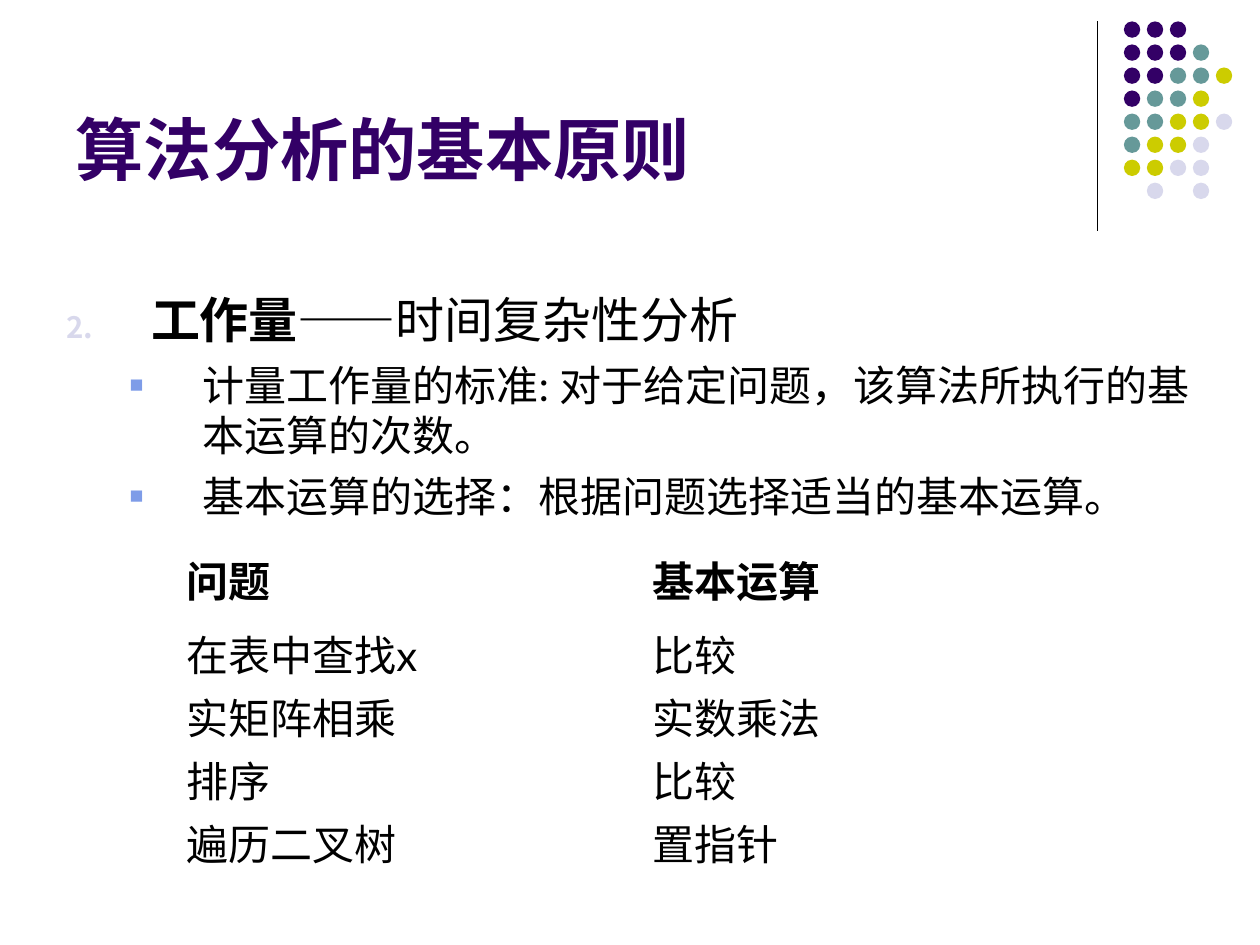
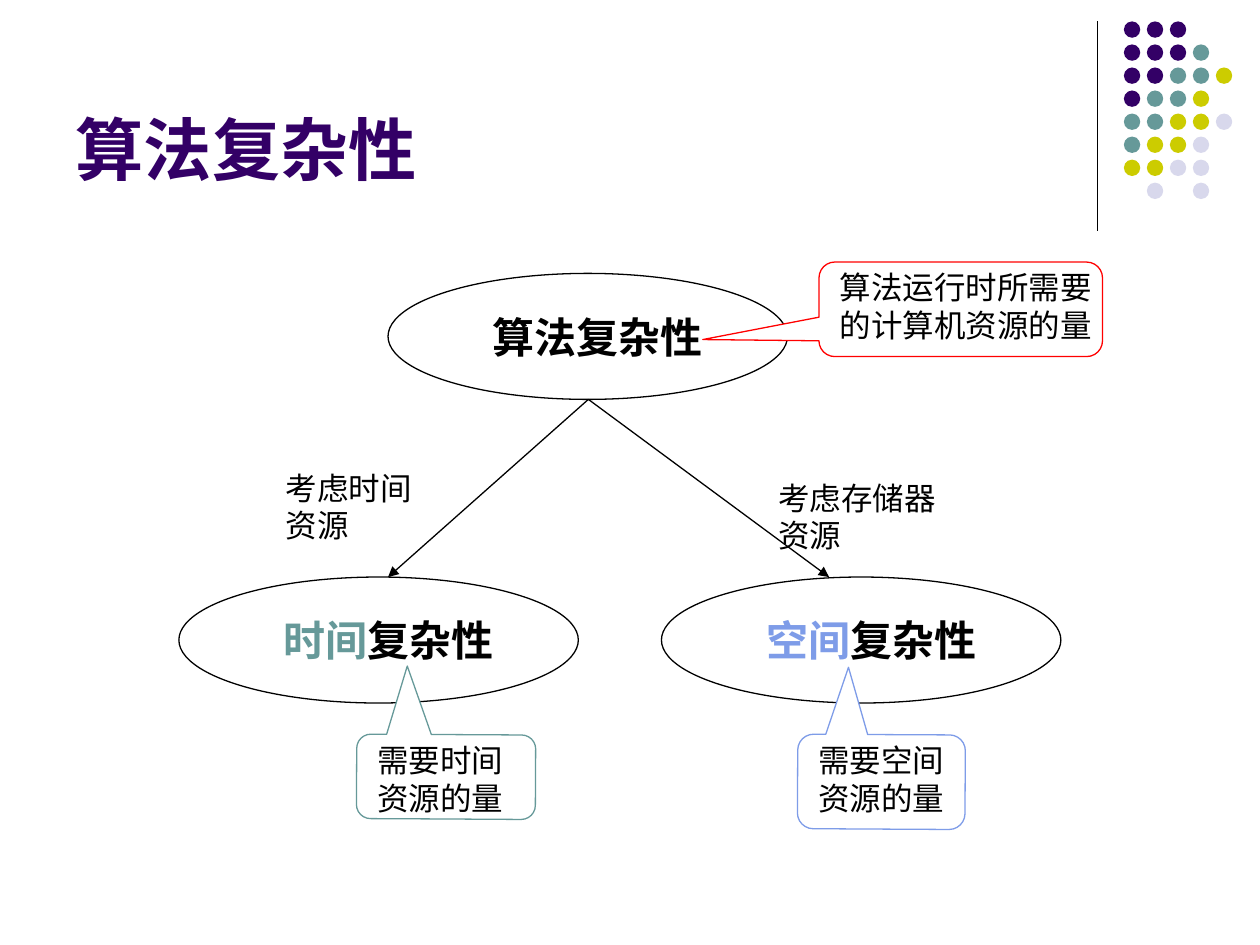
from lxml import etree
from pptx import Presentation
from pptx.dml.color import RGBColor
from pptx.enum.shapes import MSO_CONNECTOR, MSO_SHAPE
from pptx.enum.text import MSO_ANCHOR, PP_ALIGN
from pptx.oxml.ns import qn
from pptx.util import Inches, Pt

OVAL = MSO_SHAPE.OVAL
BUBBLE = MSO_SHAPE.ROUNDED_RECTANGULAR_CALLOUT
STRAIGHT = MSO_CONNECTOR.STRAIGHT
LEFT, CENTER = PP_ALIGN.LEFT, PP_ALIGN.CENTER
BOTTOM, MIDDLE = MSO_ANCHOR.BOTTOM, MSO_ANCHOR.MIDDLE

BLACK = RGBColor(0x00, 0x00, 0x00)
WHITE = RGBColor(0xFF, 0xFF, 0xFF)
RED = RGBColor(0xFF, 0x00, 0x00)
PURPLE = RGBColor(0x33, 0x00, 0x66)
TEAL = RGBColor(0x66, 0x99, 0x99)
LIME = RGBColor(0xCC, 0xCC, 0x00)
PALE = RGBColor(0xD8, 0xD8, 0xEC)
BLUE = RGBColor(0x7E, 0x9C, 0xE8)

HUES = {"P": PURPLE, "T": TEAL, "L": LIME, "G": PALE}
DOTS = ["PPP", "PPPT", "PPTTL", "PTTL", "TTLLG", "TLLG", "LLGG", " G G"]


def form(slide, kind, box, fill, line):
    shape = slide.shapes.add_shape(kind, *map(Inches, box))
    shape.shadow.inherit = False
    if fill is None:
        shape.fill.background()
    else:
        shape.fill.solid()
        shape.fill.fore_color.rgb = fill
    if line is None:
        shape.line.fill.background()
    else:
        shape.line.color.rgb = line
        shape.line.width = Pt(0.75)
    return shape


def put(para, parts, size, align=LEFT):
    para.alignment = align
    for text, face, color, bold in parts:
        run = para.add_run()
        run.text = text
        run.font.name = face
        run.font.size = Pt(size)
        run.font.bold = bold
        run.font.color.rgb = color


prs = Presentation()
prs.slide_width = Inches(10)
prs.slide_height = Inches(7.5)

slides = []
rods = []
for name in ["算法分析的基本原则", "算法复杂性"]:
    slide = prs.slides.add_slide(prs.slide_layouts[5])
    slides.append(slide)
    title = slide.shapes.title
    title.left, title.top = Inches(0.5), Inches(0.13)
    title.width, title.height = Inches(8.25), Inches(1.42)
    title.text_frame.vertical_anchor = BOTTOM
    put(title.text_frame.paragraphs[0], [(name, "Arial", PURPLE, True)], 39)
    rods.append((slide, (8.71, 0.17, 8.71, 1.83), False))
    for row, codes in enumerate(DOTS):
        for col, code in enumerate(codes):
            if code in HUES:
                box = (8.92 + col * 0.73 / 4, 0.17 + row * 1.28 / 7, 0.13, 0.13)
                form(slide, OVAL, box, HUES[code], None)

rules, tree = slides

body = rules.shapes.add_textbox(Inches(0.43), Inches(2.25), Inches(9.25), Inches(2.05))
frame = body.text_frame
frame.word_wrap = True
head = [
    ("工作量", "Lato", BLACK, True),
    ("——", "Arial", BLACK, False),
    ("时间复杂性分析", "Lato", BLACK, False),
]
points = [
    "计量工作量的标准: 对于给定问题，该算法所执行的基本运算的次数。",
    "基本运算的选择：根据问题选择适当的基本运算。",
]
items = [(0, head, 28)] + [(1, [(text, "Lato", BLACK, False)], 24) for text in points]
for spot, (level, parts, size) in enumerate(items):
    para = frame.add_paragraph() if spot else frame.paragraphs[0]
    para.level = level
    props = para._p.get_or_add_pPr()
    margin, indent = [(0.67, -0.67), (1.08, -0.58)][level]
    props.set("marL", str(Inches(margin)))
    props.set("indent", str(Inches(indent)))
    tint = etree.SubElement(props, qn("a:buClr"))
    etree.SubElement(tint, qn("a:srgbClr"), val=str(BLUE if level else PALE))
    etree.SubElement(props, qn("a:buSzPct"), val="55000" if level else "60000")
    etree.SubElement(props, qn("a:buFont"), typeface="Arial")
    if level:
        etree.SubElement(props, qn("a:buChar"), char="■")
    else:
        etree.SubElement(props, qn("a:buAutoNum"), type="arabicPeriod", startAt="2")
    if spot:
        para.space_before = Pt(6)
    put(para, parts, size)

pairs = [
    ("问题", "基本运算"),
    ("在表中查找x", "比较"),
    ("实矩阵相乘", "实数乘法"),
    ("排序", "比较"),
    ("遍历二叉树", "置指针"),
]
table = rules.shapes.add_table(
    len(pairs), 2, Inches(1.38), Inches(4.3), Inches(8.02), Inches(2.59)
).table
table.first_row = False
table.horz_banding = False
table.columns[0].width = Inches(3.7)
table.columns[1].width = Inches(4.32)
for row, pair in enumerate(pairs):
    table.rows[row].height = Inches(0.5 if row else 0.59)
    for col, text in enumerate(pair):
        cell = table.cell(row, col)
        cell.fill.background()
        cell.vertical_anchor = MIDDLE
        put(cell.text_frame.paragraphs[0], [(text, "Lato", BLACK, row == 0)], 24)

nodes = [
    (3.08, 2.17, "算法", BLACK),
    (1.42, 4.58, "时间", TEAL),
    (5.25, 4.58, "空间", BLUE),
]
notes = []
for left, top, word, color in nodes:
    form(tree, OVAL, (left, top, 3.17, 1), None, BLACK)
    parts = [(word, "Arial", color, True), ("复杂性", "Arial", BLACK, True)]
    notes.append(((left + 0.58, top + 0.25, 2.17, 0.5), parts, 24, CENTER))

for tip in [3.08, 6.58]:
    rods.append((tree, (4.67, 3.17, tip, 4.58), True))

bubbles = [
    ((2.83, 5.83, 1.42, 0.67), 180.3, (0.22, 1.31), TEAL),
    ((6.33, 5.83, 1.33, 0.75), 180.3, (0.2, 1.21), BLUE),
    ((6.5, 2.08, 2.25, 0.75), 0, (-0.91, 0.32), RED),
]
for box, turn, tip, color in bubbles:
    bubble = form(tree, BUBBLE, box, WHITE, color)
    bubble.rotation = turn
    bubble.adjustments[0], bubble.adjustments[1] = tip

labels = [
    ((2.17, 3.67, 1.42, 0.7), "考虑时间资源", LEFT),
    ((6.08, 3.75, 1.67, 0.7), "考虑存储器资源", LEFT),
    ((2.83, 5.83, 1.33, 0.7), "需要时间资源的量", CENTER),
    ((6.33, 5.83, 1.33, 0.7), "需要空间资源的量", CENTER),
    ((6.5, 2.08, 2.33, 0.7), "算法运行时所需要的计算机资源的量", CENTER),
]
for box, text, align in labels:
    notes.append((box, [(text, "Arial", BLACK, False)], 18, align))

for box, parts, size, align in notes:
    frame = tree.shapes.add_textbox(*map(Inches, box)).text_frame
    frame.word_wrap = True
    put(frame.paragraphs[0], parts, size, align)

for slide, ends, arrow in rods:
    rod = slide.shapes.add_connector(STRAIGHT, *map(Inches, ends))
    rod.line.color.rgb = BLACK
    rod.line.width = Pt(0.75)
    if arrow:
        etree.SubElement(rod.line._get_or_add_ln(), qn("a:tailEnd"), type="triangle")
    etree.SubElement(rod._element.spPr, qn("a:effectLst"))

prs.save("out.pptx")
